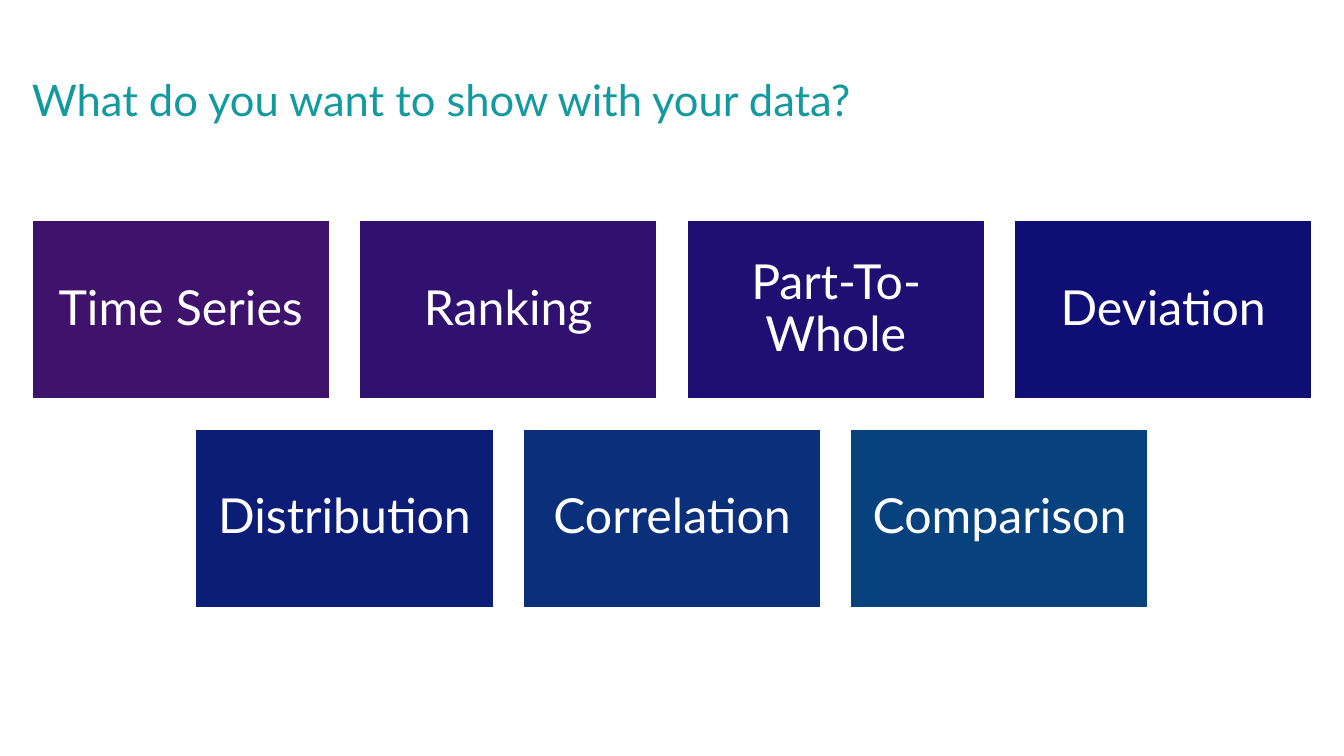
import pptx
import pptx.dml.color
import pptx.enum.shapes
import pptx.enum.text
import pptx.util

Pt = pptx.util.Pt
SLIDE_WIDTH, SLIDE_HEIGHT = 864, 486


def color(hex_string):
    return pptx.dml.color.RGBColor.from_string(hex_string)


def write_text(shape, text, *, size, font, fill, align="LEFT", anchor="TOP",
               inset=0, line_spacing=0.9):
    """Put one formatted paragraph into a shape."""
    frame = shape.text_frame
    frame.word_wrap = True
    frame.vertical_anchor = getattr(pptx.enum.text.MSO_ANCHOR, anchor)
    frame.margin_left = frame.margin_right = Pt(inset)
    frame.margin_top = frame.margin_bottom = Pt(inset)
    paragraph = frame.paragraphs[0]
    paragraph.alignment = getattr(pptx.enum.text.PP_ALIGN, align)
    paragraph.line_spacing = line_spacing
    run = paragraph.add_run()
    run.text = text
    run.font.size = Pt(size)
    run.font.name = font
    run.font.color.rgb = color(fill)


class SlideBuilder:
    """Holds the slide and its style, and draws each kind of element."""

    font = "Lato"
    title_color = "1399A0"
    white = "FFFFFF"
    margin = 20.5
    content_width = SLIDE_WIDTH - 2 * margin

    def __init__(self, slide):
        self.slide = slide

    def title(self, text, top, height):
        box = self.slide.shapes.add_textbox(
            Pt(self.margin), Pt(top), Pt(self.content_width), Pt(height))
        write_text(box, text, size=28, font=self.font,
                   fill=self.title_color, line_spacing=0.89)

    def tile(self, text, fill, left, top, width, height):
        shape = self.slide.shapes.add_shape(
            pptx.enum.shapes.MSO_SHAPE.RECTANGLE,
            Pt(left), Pt(top), Pt(width), Pt(height))
        shape.shadow.inherit = False
        shape.fill.solid()
        shape.fill.fore_color.rgb = color(fill)
        shape.line.color.rgb = color(self.white)
        shape.line.width = Pt(1)
        write_text(shape, text, size=31, font=self.font, fill=self.white,
                   align="CENTER", anchor="MIDDLE", inset=9.4)

    def tile_rows(self, rows, top):
        """Centre each row; gaps are a tenth of a tile, the widest row fills the width."""
        columns = max(len(row) for row in rows)
        width = self.content_width / (columns + 0.1 * (columns - 1))
        height, gap = 0.6 * width, 0.1 * width
        for row_index, row in enumerate(rows):
            row_width = len(row) * (width + gap) - gap
            row_left = (SLIDE_WIDTH - row_width) / 2
            for column, (text, fill) in enumerate(row):
                self.tile(text, fill, row_left + column * (width + gap),
                          top + row_index * (height + gap), width, height)


def main():
    presentation = pptx.Presentation()
    presentation.slide_width = Pt(SLIDE_WIDTH)
    presentation.slide_height = Pt(SLIDE_HEIGHT)
    slide = presentation.slides.add_slide(presentation.slide_layouts[6])
    builder = SlideBuilder(slide)

    # Title
    builder.title("What do you want to show with your data?", top=51, height=30)

    # Purposes of a chart
    builder.tile_rows([
        [("Time Series", "3F136C"), ("Ranking", "30116F"),
         ("Part-To-Whole", "200F72"), ("Deviation", "0E0E75")],
        [("Distribution", "0C1D78"), ("Correlation", "0A2F7B"),
         ("Comparison", "08427E")],
    ], top=141.8)

    presentation.save("out.pptx")


if __name__ == "__main__":
    main()
